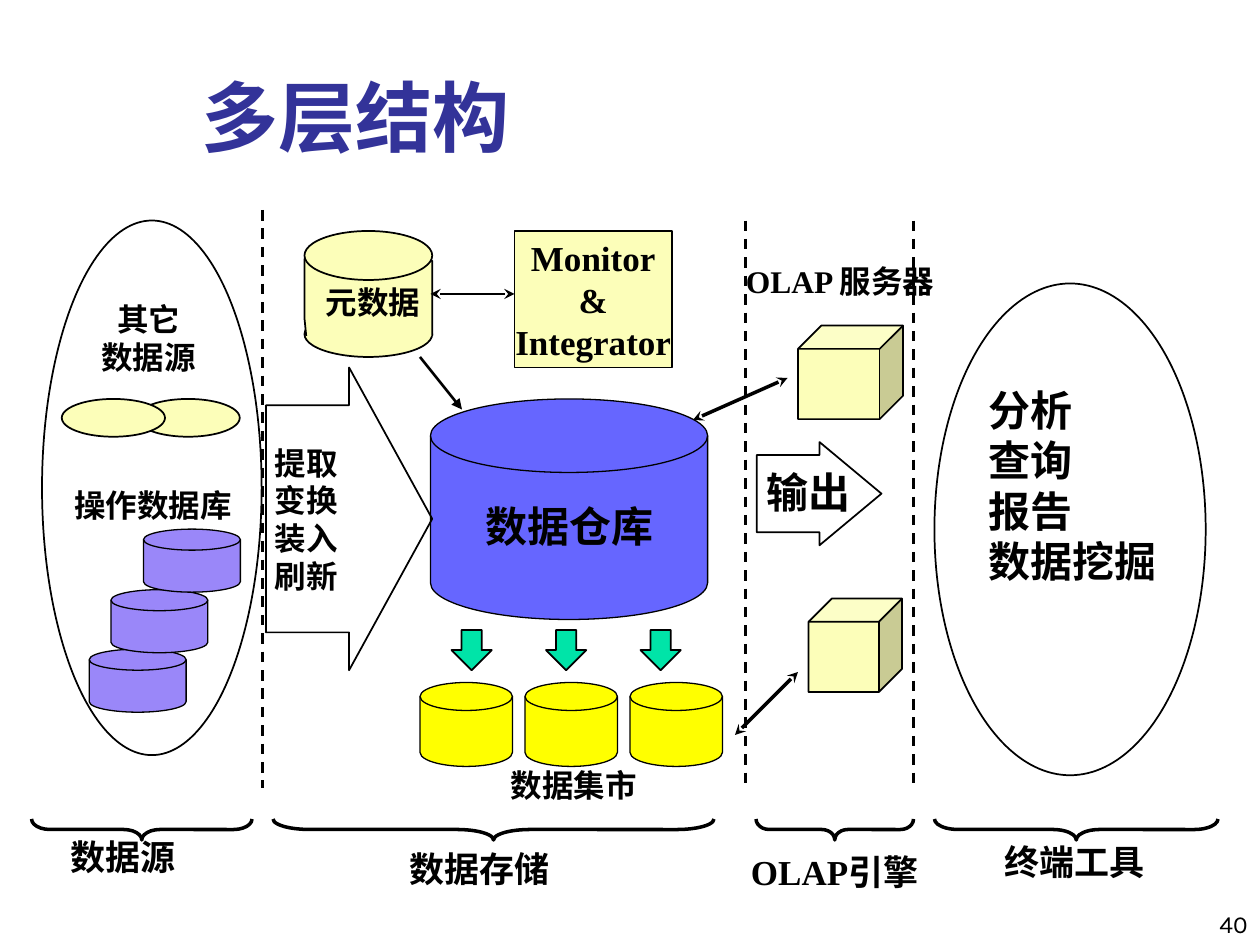
from pptx import Presentation
from pptx import util as u
from pptx.dml.color import RGBColor
from pptx.enum import dml, shapes, text
from pptx.oxml.ns import qn
from lxml import etree

Pt = u.Pt
KIND = shapes.MSO_SHAPE
ALIGN = text.PP_ALIGN
ANCHOR = text.MSO_ANCHOR

THEME = {
    "font": "Times New Roman", "number_font": "Karla",
    "ink": "000000", "title": "333399", "paper": "FFFFFF",
    "warehouse": "6666FF", "cream": "FCFEB9", "mart": "FFFF00",
    "source": "9A87F9", "green": "00E4A8",
    "title_size": 44, "large": 24, "medium": 20, "small": 18, "number_size": 14,
    "thin": 0.75, "normal": 1, "dashed": 1.5, "thick": 2,
}

TITLE = "多层结构"
TITLE_BOX = (108, 30, 534, 66)

# Labels: lines, box (left, top, width, height), size, alignment
LABELS = [
    (["数据仓库"], (277, 286, 97, 29), "large", ALIGN.CENTER),
    (["提取", "变换", "装入", "刷新"], (157, 253.5, 36, 86.4), "small", ALIGN.LEFT),
    (["分析", "查询", "报告", "数据挖掘"], (565, 219.6, 97, 115), "large", ALIGN.LEFT),
    (["输出"], (438, 266.5, 48.5, 29), "large", ALIGN.LEFT),
    (["元数据"], (186, 162, 54, 21.6), "small", ALIGN.LEFT),
    (["数据集市"], (292, 438, 72, 21.6), "small", ALIGN.CENTER),
    (["其它", "数据源"], (49, 171.6, 72, 43.2), "small", ALIGN.CENTER),
    (["操作数据库"], (42.5, 277.5, 90, 21.6), "small", ALIGN.LEFT),
    (["OLAP 服务器"], (420, 150, 120, 21.6), "small", ALIGN.CENTER),
    (["数据源"], (40.5, 477.5, 60, 24), "medium", ALIGN.LEFT),
    (["数据存储"], (234, 484, 80, 24), "medium", ALIGN.LEFT),
    (["OLAP引擎"], (414, 486, 126, 24), "medium", ALIGN.CENTER),
    (["终端工具"], (574, 480, 80, 24), "medium", ALIGN.LEFT),
]
MONITOR_LINES = ["Monitor", "&", "Integrator"]
PAGE_NUMBER = "40"

CUBES = [(456, 186, 60, 53.5), (462, 342, 53.5, 53.5)]
SOURCE_DISKS = [(51, 371), (63.4, 337), (82, 302.4)]
METADATA_SIDES = [(175, 192), (174, 182), (174, 148), (247, 149), (247, 192)]
DIVIDERS = [(150, 120), (426, 126), (522, 126)]  # x, top
DIVIDER_BOTTOM = 450
BRACES = [(18, 126), (156, 252), (432, 90), (534, 162)]  # left, length
BRACE_TOP, BRACE_DEPTH = 468, 12

# Arrows: start, end, line width, head, tail
ARROWS = [
    ((246, 168), (294, 168), "normal", "stealth", "stealth"),
    ((396, 240), (450, 216), "thick", "stealth", "stealth"),
    ((420, 420), (456, 384), "thick", "stealth", "stealth"),
    ((240, 204), (264, 234), "dashed", None, "triangle"),
]


def color(name):
    return RGBColor.from_string(THEME[name])


def points(values):
    return [Pt(value) for value in values]


def write(frame, lines, size="small", align=ALIGN.LEFT, anchor=ANCHOR.TOP,
          ink="ink", font="font", bold=True, wrap=False, inset=0):
    frame.word_wrap = wrap
    frame.auto_size = text.MSO_AUTO_SIZE.NONE
    frame.vertical_anchor = anchor
    frame.margin_left = frame.margin_right = Pt(inset)
    frame.margin_top = frame.margin_bottom = Pt(inset / 2)
    for index, line in enumerate(lines):
        paragraph = frame.add_paragraph() if index else frame.paragraphs[0]
        paragraph.alignment = align
        run = paragraph.add_run()
        run.text = line
        run.font.name = THEME[font]
        run.font.size = Pt(THEME[size])
        run.font.bold = bold
        run.font.color.rgb = color(ink)


def label(slide, lines, box, **style):
    write(slide.shapes.add_textbox(*points(box)).text_frame, lines, **style)


def paint(shape, fill=None, line="normal"):
    shape.shadow.inherit = False
    if fill:
        shape.fill.solid()
        shape.fill.fore_color.rgb = color(fill)
    else:
        shape.fill.background()
    shape.line.color.rgb = color("ink")
    shape.line.width = Pt(THEME[line])


def add(slide, kind, box, fill=None, line="normal", adjust=()):
    shape = slide.shapes.add_shape(kind, *points(box))
    paint(shape, fill, line)
    for index, value in enumerate(adjust):
        shape.adjustments[index] = value
    return shape


def connect(slide, start, end, width, head=None, tail=None, dash=False):
    line = slide.shapes.add_connector(shapes.MSO_CONNECTOR.STRAIGHT, *points(start + end))
    line.line.color.rgb = color("ink")
    line.line.width = Pt(THEME[width])
    if dash:
        line.line.dash_style = dml.MSO_LINE.DASH
    properties = line.line._get_or_add_ln()
    for tag, style in (("a:headEnd", head), ("a:tailEnd", tail)):
        if style:
            etree.SubElement(properties, qn(tag)).set("type", style)
    etree.SubElement(line._element.spPr, qn("a:effectLst"))


def add_title(slide):
    title = slide.shapes.title
    title.left, title.top, title.width, title.height = points(TITLE_BOX)
    title.fill.solid()
    title.fill.fore_color.rgb = color("paper")
    write(title.text_frame, [TITLE], size="title_size", ink="title",
          anchor=ANCHOR.BOTTOM, wrap=True, inset=7.2)


def add_sources(slide):
    add(slide, KIND.OVAL, (78, 228, 59, 21.6), "cream")
    add(slide, KIND.OVAL, (24, 126, 125.5, 305.5))
    add(slide, KIND.OVAL, (35.3, 228, 59, 21.6), "cream")
    for left, top in SOURCE_DISKS:
        add(slide, KIND.FLOWCHART_MAGNETIC_DISK, (left, top, 55.4, 36), "source", "thin")


def add_metadata(slide):
    add(slide, KIND.OVAL, (174, 178, 73, 26), "cream")
    builder = slide.shapes.build_freeform(*METADATA_SIDES[0], scale=Pt(1))
    builder.add_line_segments(METADATA_SIDES[1:], close=False)
    paint(builder.convert_to_shape(), "cream")
    add(slide, KIND.OVAL, (174, 132, 73, 28), "cream")
    monitor = add(slide, KIND.RECTANGLE, (294, 132, 90, 78), "cream")
    write(monitor.text_frame, MONITOR_LINES, size="medium",
          align=ALIGN.CENTER, anchor=ANCHOR.MIDDLE, inset=7.2)


def add_storage(slide):
    add(slide, KIND.FLOWCHART_MAGNETIC_DISK, (246, 228, 158.4, 126), "warehouse", "thin")
    add(slide, KIND.RIGHT_ARROW, (152, 210, 95, 173), adjust=(0.75, 0.5))
    for column in range(3):
        add(slide, KIND.DOWN_ARROW, (258 + 54 * column, 360, 23, 23), "green")
        add(slide, KIND.FLOWCHART_MAGNETIC_DISK, (240 + 60 * column, 390, 52.8, 48),
            "mart", "thin")


def add_output(slide):
    add(slide, KIND.OVAL, (534, 162, 155, 281))
    add(slide, KIND.RIGHT_ARROW, (432.5, 252.6, 71.2, 59), adjust=(0.75, 0.6))
    for box in CUBES:
        add(slide, KIND.CUBE, box, "cream", adjust=(0.25,))


def add_brace(slide, left, length):
    """A right brace turned a quarter, so that it points down."""
    box = (left + (length - BRACE_DEPTH) / 2, BRACE_TOP + (BRACE_DEPTH - length) / 2,
           BRACE_DEPTH, length)
    curve = length / 12 / BRACE_DEPTH
    add(slide, KIND.RIGHT_BRACE, box, line="thick", adjust=(curve, 0.5)).rotation = 90


def main():
    presentation = Presentation()
    presentation.slide_width, presentation.slide_height = Pt(720), Pt(540)
    slide = presentation.slides.add_slide(presentation.slide_layouts[5])
    add_title(slide)
    add_storage(slide)
    add_metadata(slide)
    add_output(slide)
    add_sources(slide)
    for arrow in ARROWS:
        connect(slide, *arrow)
    for x, top in DIVIDERS:
        connect(slide, (x, top), (x, DIVIDER_BOTTOM), "dashed", dash=True)
    for left, length in BRACES:
        add_brace(slide, left, length)
    for lines, box, size, align in LABELS:
        label(slide, lines, box, size=size, align=align)
    label(slide, [PAGE_NUMBER], (570, 504, 143, 32.4), size="number_size",
          font="number_font", align=ALIGN.RIGHT, anchor=ANCHOR.BOTTOM, bold=False)
    presentation.save("out.pptx")


if __name__ == "__main__":
    main()
